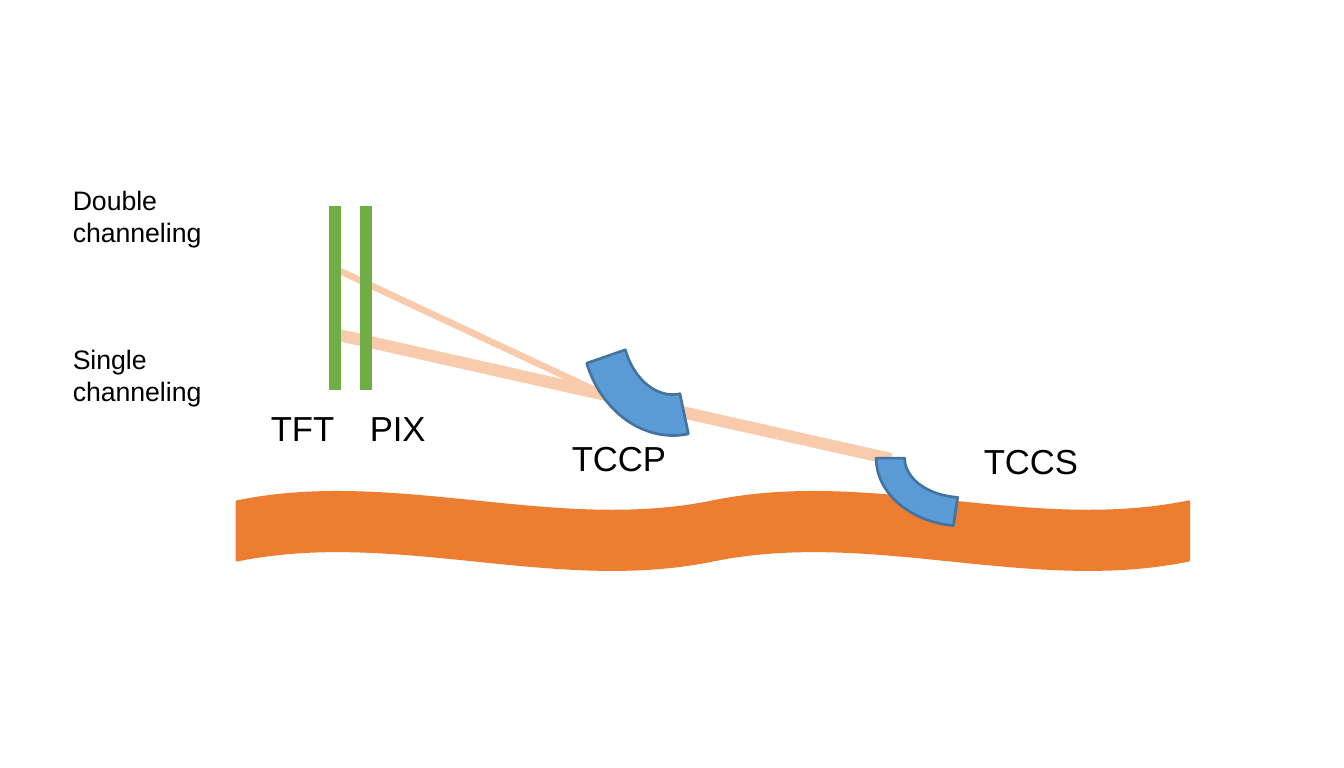
from lxml.etree import SubElement
from pptx import Presentation
from pptx.dml.color import RGBColor
from pptx.enum.shapes import MSO_CONNECTOR, MSO_SHAPE
from pptx.oxml.ns import qn
from pptx.util import Pt

PX = 9525 / 2
SLIDE_SIZE = (1344, 768)
BLUE, BLUE_EDGE, ORANGE, PEACH, GREEN = "5B9BD5", "43739E", "ED7D31", "F8CBAD", "70AD47"

BEAM_PIPE = (237, 492, 952, 78)
BEAMS = [
    ((334, 334), (891, 459), 4.5),
    ((340, 271), (603, 394), 2.5),
]
CRYSTALS = [
    ((876, 390, 175, 136), 180, (180, 261.47), 0.21),
    ((582, 234, 171, 202), 169, (188.2, 270.91), 0.24),
]
DETECTOR_XS = (335, 366)
DETECTOR_TOP, DETECTOR_BOTTOM = 206, 390
LABELS = [
    ("TCCS", (965, 430, 223, 61), 13),
    ("TCCP", (553, 427, 223, 61), 13),
    ("TFT", (252, 397, 132, 61), 13),
    ("PIX", (351, 397, 108, 61), 13),
    ("Single channeling", (54, 333, 190, 84), 10),
    ("Double channeling", (54, 174, 190, 84), 10),
]


def emu(*lengths):
    return [round(length * PX) for length in lengths]


def color(hex_code):
    return RGBColor.from_string(hex_code)


def add_solid(slide, preset, box, fill, edge, adjustments):
    solid = slide.shapes.add_shape(preset, *emu(*box))
    solid.shadow.inherit = False
    solid.fill.solid()
    solid.fill.fore_color.rgb = color(fill)
    solid.line.color.rgb = color(edge)
    solid.line.width = Pt(1)
    for index, value in enumerate(adjustments):
        solid.adjustments[index] = value
    return solid


def add_crystal(slide, box, rotation, degrees, thickness):
    adjustments = [angle * 60000 / 100000 for angle in degrees] + [thickness]
    crystal = add_solid(slide, MSO_SHAPE.BLOCK_ARC, box, BLUE, BLUE_EDGE, adjustments)
    crystal.rotation = rotation
    crystal.element.spPr.find(qn("a:xfrm")).set("flipH", "1")


def add_line(slide, start, end, stroke, width):
    line = slide.shapes.add_connector(MSO_CONNECTOR.STRAIGHT, *emu(*start, *end))
    line.line.color.rgb = color(stroke)
    line.line.width = Pt(width)
    SubElement(line.element.spPr, qn("a:effectLst"))


def add_label(slide, text, box, *, size, font="Arial", ink="000000"):
    frame = slide.shapes.add_textbox(*emu(*box)).text_frame
    frame.word_wrap = True
    run = frame.paragraphs[0].add_run()
    run.text = text
    run.font.name = font
    run.font.size = Pt(size)
    run.font.color.rgb = color(ink)


def main():
    """Draw the single and double channeling layout."""
    deck = Presentation()
    deck.slide_width, deck.slide_height = emu(*SLIDE_SIZE)
    slide = deck.slides.add_slide(deck.slide_layouts[6])

    add_solid(slide, MSO_SHAPE.DOUBLE_WAVE, BEAM_PIPE, ORANGE, ORANGE, (0.125, 0))
    for start, end, width in BEAMS:
        add_line(slide, start, end, PEACH, width)
    for crystal in CRYSTALS:
        add_crystal(slide, *crystal)
    for x in DETECTOR_XS:
        add_line(slide, (x, DETECTOR_TOP), (x, DETECTOR_BOTTOM), GREEN, 4.5)
    for text, box, size in LABELS:
        add_label(slide, text, box, size=size)

    deck.save("out.pptx")


if __name__ == "__main__":
    main()
